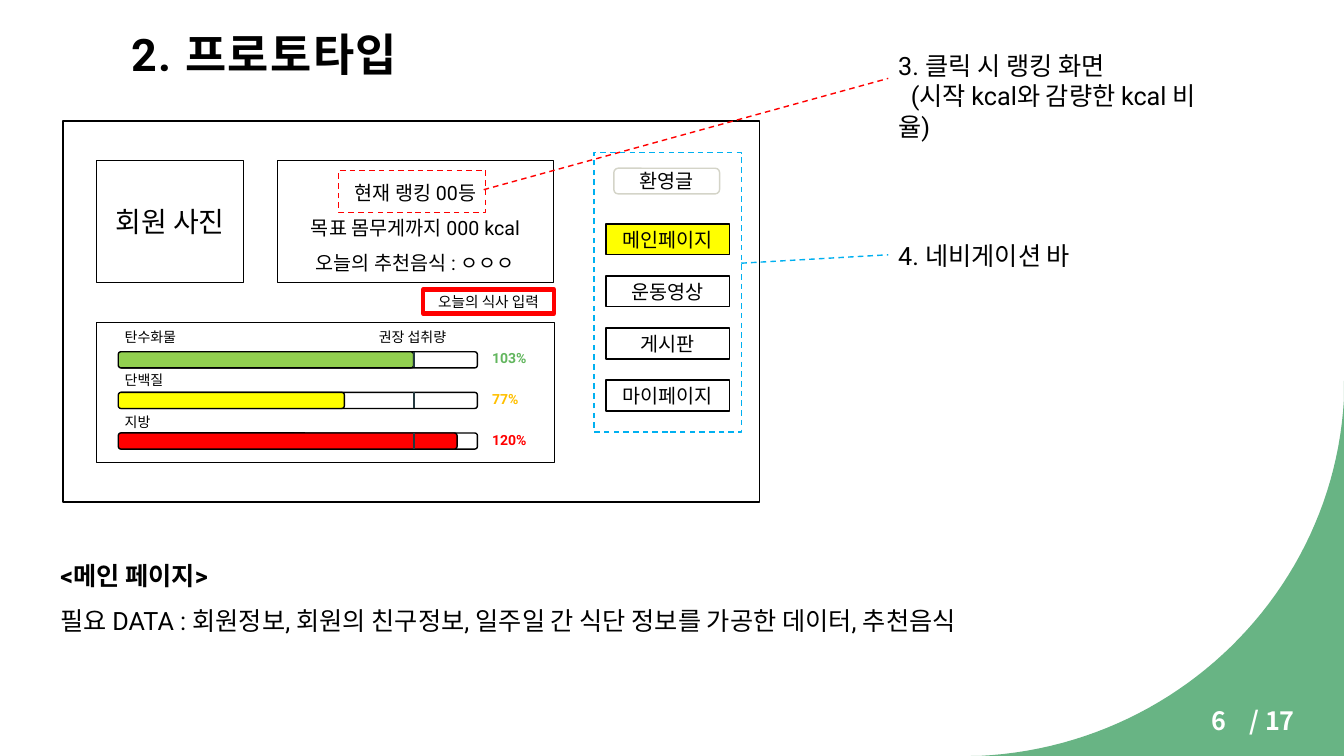
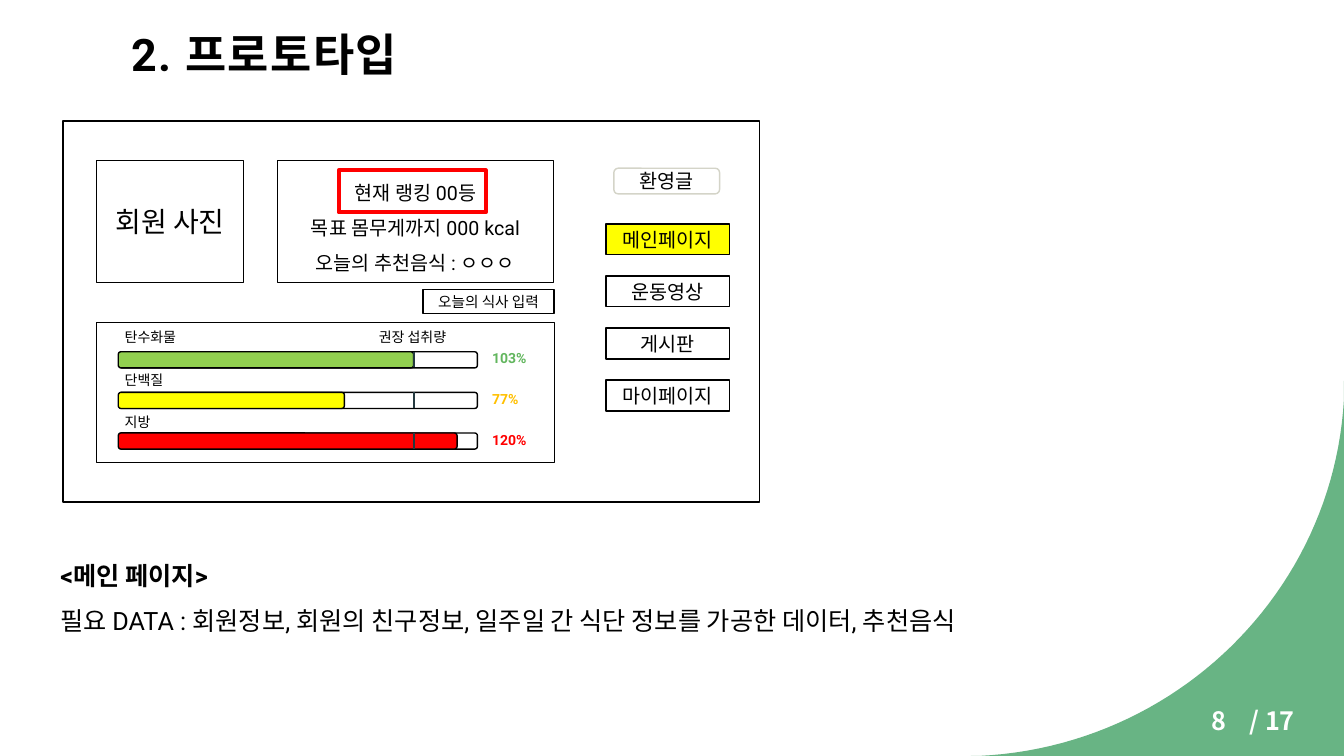
from lxml.etree import SubElement
from pptx import Presentation
from pptx.dml.color import RGBColor
from pptx.enum.dml import MSO_LINE
from pptx.enum.shapes import MSO_CONNECTOR, MSO_SHAPE
from pptx.enum.text import MSO_ANCHOR as ANCHOR, PP_ALIGN as ALIGN
from pptx.oxml.ns import qn
from pptx.util import Pt

COLORS = {
    "corner": "68B484", "white": "FFFFFF", "black": "000000",
    "pale": "D4D4C8", "blue": "00B0F0", "red": "FF0000",
    "yellow": "FFFF00", "green": "92D050", "tick": "24393F",
    "amber": "FFC000", "green_text": "62B65E",
}
LATIN, KOREAN = "Roboto", "Noto Sans CJK KR"
PAGE_COUNT = 17
RANKING_BOX = (242, 121.7, 105, 30)
NAV_ITEMS = ["메인페이지", "운동영상", "게시판", "마이페이지"]
NUTRIENTS = [
    ("탄수화물", 211, "green", "103%", "green_text"),
    ("단백질", 161.5, "yellow", "77%", "amber"),
    ("지방", 242, "red", "120%", "red"),
]


def rgb(name):
    return RGBColor.from_string(COLORS[name])


def style_paragraph(paragraph, size, color="black", font=LATIN, bold=False,
                    align=ALIGN.LEFT, spacing=1.0):
    paragraph.alignment = align
    paragraph.line_spacing = spacing
    for run in paragraph.runs:
        run.font.size = Pt(size)
        run.font.bold = bold
        run.font.name = font
        run.font.color.rgb = rgb(color)
        SubElement(run.font._element, qn("a:ea")).set("typeface", KOREAN)


def add_text(slide, box, text, size, **style):
    frame = slide.shapes.add_textbox(*map(Pt, box)).text_frame
    frame.word_wrap = True
    frame.text = text
    for paragraph in frame.paragraphs:
        style_paragraph(paragraph, size, **style)
    return frame


def add_box(slide, box, text="", size=14, fill="white", line="black", weight=1,
            dashed=False, kind=MSO_SHAPE.RECTANGLE, **style):
    shape = slide.shapes.add_shape(kind, *map(Pt, box))
    shape.shadow.inherit = False
    if fill:
        shape.fill.solid()
        shape.fill.fore_color.rgb = rgb(fill)
    else:
        shape.fill.background()
    shape.line.color.rgb = rgb(line)
    shape.line.width = Pt(weight)
    if dashed:
        shape.line.dash_style = MSO_LINE.DASH
    if text:
        shape.text_frame.text = text
        shape.text_frame.word_wrap = True
        shape.text_frame.vertical_anchor = ANCHOR.MIDDLE
        for paragraph in shape.text_frame.paragraphs:
            style_paragraph(paragraph, size, align=ALIGN.CENTER, **style)


def add_line(slide, start, end, color, weight=1, dashed=False):
    line = slide.shapes.add_connector(MSO_CONNECTOR.STRAIGHT, *map(Pt, start + end))
    line.line.color.rgb = rgb(color)
    line.line.width = Pt(weight)
    if dashed:
        line.line.dash_style = MSO_LINE.DASH
    SubElement(line._element.spPr, qn("a:effectLst"))


def curve_points(p0, p1, p2, p3, steps=48):
    for step in range(steps + 1):
        t = step / steps
        u = 1 - t
        yield tuple(Pt(u**3 * a + 3 * u * u * t * b + 3 * u * t * t * c + t**3 * d)
                    for a, b, c, d in zip(p0, p1, p2, p3))


def add_corner(slide):
    outline = slide.shapes.build_freeform(Pt(960), Pt(272))
    edge = curve_points((699, 540), (840, 533.5), (952.5, 422.5), (960, 285))
    outline.add_line_segments([(Pt(960), Pt(540)), (Pt(693.5), Pt(540)), *edge])
    corner = outline.convert_to_shape()
    corner.shadow.inherit = False
    corner.fill.solid()
    corner.fill.fore_color.rgb = rgb("corner")
    corner.line.fill.background()


def add_frame(slide, page):
    add_corner(slide)
    number_style = dict(color="white", font=KOREAN, bold=True)
    add_text(slide, (885.5, 500.5, 74, 29), f"/ {PAGE_COUNT}", 18, **number_style)
    add_text(slide, (858.5, 500.5, 83, 29), str(page), 18, **number_style)
    title = add_text(slide, (85, 17, 783, 47.5), "2. 프로토타입", 32,
                     bold=True, spacing=1.1)
    title.vertical_anchor = ANCHOR.BOTTOM
    title.margin_left = title.margin_top = title.margin_right = Pt(8.64)
    title.margin_bottom = Pt(7.2)
    title.paragraphs[0].runs[0].font._element.set("spc", "100")


def add_navigation(slide):
    add_box(slide, (438.5, 120.2, 75.5, 18.3), "환영글", line="pale", font=KOREAN,
            kind=MSO_SHAPE.ROUNDED_RECTANGLE)
    for row, label in enumerate(NAV_ITEMS):
        add_box(slide, (433, 160 + 37.2 * row, 88, 22), label, font=KOREAN,
                fill="white" if row else "yellow")


def add_intake(slide):
    add_box(slide, (69, 230.5, 327, 100))
    add_text(slide, (263.5, 231, 78, 19.5), "권장 섭취량", 10)
    for row, (name, width, fill, percent, color) in enumerate(NUTRIENTS):
        top = 251.3 + 29 * row
        add_box(slide, (85, top, 256, 11.5), kind=MSO_SHAPE.ROUNDED_RECTANGLE)
        add_box(slide, (84.5, top, width, 11.5), fill=fill,
                kind=MSO_SHAPE.ROUNDED_RECTANGLE)
        add_line(slide, (295.5, top), (295.5, top + 11.2), "tick", 1.5)
        add_text(slide, (82, 231 + 30.5 * row, 67, 19.5), name, 10)
        add_text(slide, (344.5, 246 + 29.4 * row, 67, 19.5), percent, 10,
                 color=color, bold=True)


def add_main_page(slide, **meal_border):
    add_box(slide, (45, 86.5, 497.5, 272))
    add_box(slide, (69, 114.8, 105, 87.2), "회원 사진", 20, font=KOREAN)
    add_box(slide, (198, 114.8, 197.5, 87.2),
            "현재 랭킹 00등\n목표 몸무게까지 000 kcal\n오늘의 추천음식 : ㅇㅇㅇ", spacing=1.5)
    add_navigation(slide)
    add_intake(slide)
    add_box(slide, (302.2, 206.8, 93.6, 17.2), "오늘의 식사 입력", 10.5, **meal_border)
    caption = add_text(
        slide, (36, 386, 661, 69),
        "<메인 페이지>\n필요 DATA : 회원정보, 회원의 친구정보, 일주일 간 식단 정보를 가공한 데이터, 추천음식",
        18, spacing=1.5)
    caption.paragraphs[0].runs[0].font.bold = True


def add_callouts(slide):
    add_box(slide, RANKING_BOX, fill=None, line="red", dashed=True)
    add_line(slide, (345.5, 135.5), (634.5, 56), "red", dashed=True)
    ranking = add_text(slide, (634.5, 32.5, 247.5, 51),
                       "3. 클릭 시 랭킹 화면\n(시작 kcal와 감량한 kcal 비율)", 18)
    ranking.paragraphs[1]._p.get_or_add_pPr().set("indent", str(Pt(9)))
    add_box(slide, (424.2, 109, 105.5, 199.5), fill=None, line="blue", dashed=True)
    add_line(slide, (529.5, 188), (634.5, 182), "blue", dashed=True)
    add_text(slide, (634.5, 168, 247.5, 29), "4. 네비게이션 바", 18)


def main():
    deck = Presentation()
    deck.slide_width, deck.slide_height = Pt(960), Pt(540)
    blank = deck.slide_layouts[6]

    callout_slide = deck.slides.add_slide(blank)
    add_frame(callout_slide, 6)
    add_main_page(callout_slide, line="red", weight=3)
    add_callouts(callout_slide)

    ranking_slide = deck.slides.add_slide(blank)
    add_frame(ranking_slide, 8)
    add_main_page(ranking_slide)
    add_box(ranking_slide, RANKING_BOX, fill=None, line="red", weight=3)

    deck.save("out.pptx")


if __name__ == "__main__":
    main()
